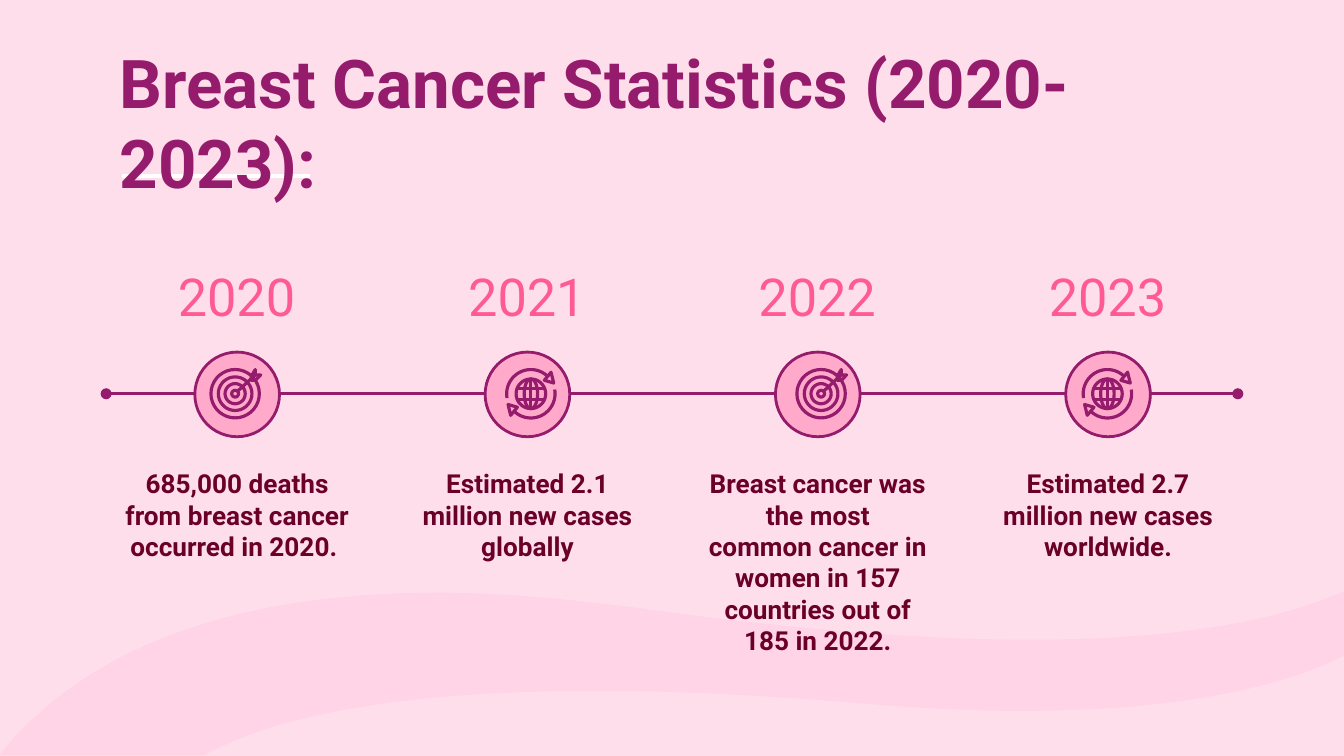
from math import cos, radians, sin

from lxml import etree
from pptx import Presentation
from pptx.dml.color import RGBColor
from pptx.enum import shapes as kinds, text as txt
from pptx.oxml.ns import qn
from pptx.util import Inches, Pt

WIDTH = 10
HEIGHT = WIDTH * 9 / 16
PLUM, WINE, ROSE, BLUSH = "951B6C", "6A0028", "FF5A95", "FFAACA"
FIRST, STEP, AXIS_Y = 1.76, 2.16, 2.93  # first column centre, column pitch, timeline height
MARGIN = 0.79
NBSP = chr(160)  # keeps words on one line


def paint(shape, fill=None, line=None, weight=1.5):
    if fill:
        shape.fill.solid()
        shape.fill.fore_color.rgb = RGBColor.from_string(fill)
    elif hasattr(shape, "fill"):
        shape.fill.background()
    if line:
        shape.line.color.rgb = RGBColor.from_string(line)
        shape.line.width = Pt(weight)
    else:
        shape.line.fill.background()
    etree.SubElement(shape._element.spPr, qn("a:effectLst"))  # no theme shadow


def write(shape, words, box, color, size, bold, align, anchor, insets):
    for name, value in zip(("left", "top", "width", "height"), box):
        setattr(shape, name, Inches(value))
    frame = shape.text_frame
    frame.text = words
    layout = {"word_wrap": True, "auto_size": txt.MSO_AUTO_SIZE.NONE, "vertical_anchor": anchor}
    layout.update(zip(("margin_left", "margin_top", "margin_right", "margin_bottom"),
                      map(Inches, insets)))
    for name, value in layout.items():
        setattr(frame, name, value)
    for paragraph in frame.paragraphs:
        paragraph.alignment, paragraph.space_before = align, Pt(0)
        props = paragraph._p.get_or_add_pPr()
        props.set("marL", "0")
        props.set("indent", "0")
        etree.SubElement(props, qn("a:buNone"))
        for run in paragraph.runs:
            for name, value in {"name": "Roboto", "size": Pt(size), "bold": bold}.items():
                setattr(run.font, name, value)
            run.font.color.rgb = RGBColor.from_string(color)


prs = Presentation()
prs.slide_width, prs.slide_height = Inches(WIDTH), Inches(HEIGHT)
slide = prs.slides.add_slide(prs.slide_layouts.get_by_name("Comparison"))
slide.background.fill.solid()
slide.background.fill.fore_color.rgb = RGBColor.from_string("FFDEEC")
shapes = slide.shapes
STRAIGHT = kinds.MSO_CONNECTOR.STRAIGHT

# Wave: upper and lower edges as cubic curves, each start followed by control points
upper = [(0, 5.62), (0.04, 5.56), (0.09, 5.5), (0.15, 5.44), (0.77, 4.8), (1.77, 4.41),
         (3.25, 4.41), (3.7, 4.41), (4.18, 4.45), (4.72, 4.52), (5.73, 4.66), (6.74, 4.76),
         (7.66, 4.76), (8.59, 4.76), (9.41, 4.66), (10, 4.4)]
lower = [(10, 4.88), (9.6, 5.08), (8.87, 5.29), (7.61, 5.29), (7.24, 5.29), (6.83, 5.27),
         (6.36, 5.23), (5.64, 5.17), (5, 5.14), (4.44, 5.14), (2.97, 5.14), (2.03, 5.33),
         (1.52, 5.62)]
edge = []
for curve in (upper, lower):
    for i in range(0, len(curve) - 1, 3):
        for t in (n / 16 for n in range(17)):
            weights = ((1 - t) ** 3, 3 * t * (1 - t) ** 2, 3 * t * t * (1 - t), t ** 3)
            edge.append([Inches(sum(w * p[axis] for w, p in zip(weights, curve[i:i + 4])))
                         for axis in (0, 1)])
builder = shapes.build_freeform(*edge[0])
builder.add_line_segments(edge[1:])
wave = builder.convert_to_shape()
paint(wave, "FFD4E6")

underline = shapes.add_connector(STRAIGHT, Inches(0.91), Inches(1.31), Inches(2.31), Inches(1.31))
paint(underline, line="FFFFFF", weight=2.25)
for backdrop in (underline, wave):
    shapes._spTree.insert(2, backdrop._element)

write(shapes.title, "Breast Cancer Statistics (2020-2023):", (MARGIN, 0.59, 8.43, 0.63), PLUM, 36,
      True, txt.PP_ALIGN.LEFT, txt.MSO_ANCHOR.MIDDLE, (0.1, 0.1, 0.1, 0.1))

timeline = shapes.add_connector(STRAIGHT, Inches(WIDTH - MARGIN), Inches(AXIS_Y),
                                Inches(MARGIN), Inches(AXIS_Y))
paint(timeline, line=PLUM)
for end in ("headEnd", "tailEnd"):
    etree.SubElement(timeline.line._get_or_add_ln(), qn(f"a:{end}"), type="oval")

# Year, caption, caption height, icon and the icon's centre
milestones = [
    ("2020", f"685,000 deaths from breast cancer occurred in 2020.{NBSP}", 1.15, "target", 1.75),
    ("2021", "Estimated 2.1 million new cases globally", 1.15, "globe", 3.95),
    ("2022", f"Breast{NBSP}cancer{NBSP}was\nthe most common{NBSP}cancer{NBSP}in women in 157 "
             "countries out of 185 in 2022.", 1.47, "target", 6.11),
    ("2023", "Estimated 2.7 million new cases worldwide.", 1, "globe", 8.24),
]

# Each icon is a list of outlines; an outline is a list of strokes around the icon's centre
circle = [(cos(radians(a)), sin(radians(a))) for a in range(0, 361, 10)]
arc = [(0.18 * cos(radians(a)), 0.18 * sin(radians(a))) for a in range(170, 316, 5)]
arrowhead = [(0.15, -0.16), (0.17, -0.08), (0.1, -0.1), (0.15, -0.16)]
fletching = [(0.12, -0.1), (0.12, -0.13), (0.15, -0.18), (0.15, -0.14), (0.19, -0.14),
             (0.15, -0.1), (0.12, -0.1)]
rings = [[(r * x, r * y) for x, y in circle] for r in (0.18, 0.125, 0.075, 0.025)]
sphere = [[(rx * x, 0.11 * y) for x, y in circle] for rx in (0.11, 0.05)]
grid = [[(0, -0.11), (0, 0.11)]] + [[(-0.1, y), (0.1, y)] for y in (-0.04, 0.04)]
icons = {
    "target": [rings + [[(0.02, -0.02), (0.15, -0.14)], fletching]],
    "globe": [[[(turn * x, turn * y) for x, y in stroke] for stroke in (arc, arrowhead)]
              for turn in (1, -1)] + [sphere + grid],
}

captions = [holder for holder in slide.placeholders if holder.placeholder_format.idx in (1, 2, 3, 4)]
for column, (year, caption, height, icon, cx) in enumerate(milestones):
    middle = FIRST + column * STEP
    write(captions[column], caption, (middle - 0.97, 3.48, 1.95, height), WINE, 14, True,
          txt.PP_ALIGN.CENTER, txt.MSO_ANCHOR.TOP, (0.1, 0, 0.1, 0.1))
    write(shapes.add_textbox(0, 0, 0, 0), year, (middle - 0.6, 1.8, 1.2, 0.63), ROSE, 28, False,
          txt.PP_ALIGN.CENTER, txt.MSO_ANCHOR.BOTTOM, (0.1, 0.1, 0.1, 0))
    disc = shapes.add_shape(kinds.MSO_SHAPE.OVAL, Inches(middle - 0.31), Inches(AXIS_Y - 0.31),
                            Inches(0.63), Inches(0.63))
    paint(disc, BLUSH, PLUM)

    for outline in icons[icon]:
        placed = [[(Inches(cx + x), Inches(AXIS_Y + y)) for x, y in stroke] for stroke in outline]
        builder = shapes.build_freeform(*placed[0][0])
        for stroke in placed:
            builder.move_to(*stroke[0])
            builder.add_line_segments(stroke[1:], close=False)
        paint(builder.convert_to_shape(), line=PLUM, weight=1.7)

prs.save("out.pptx")
